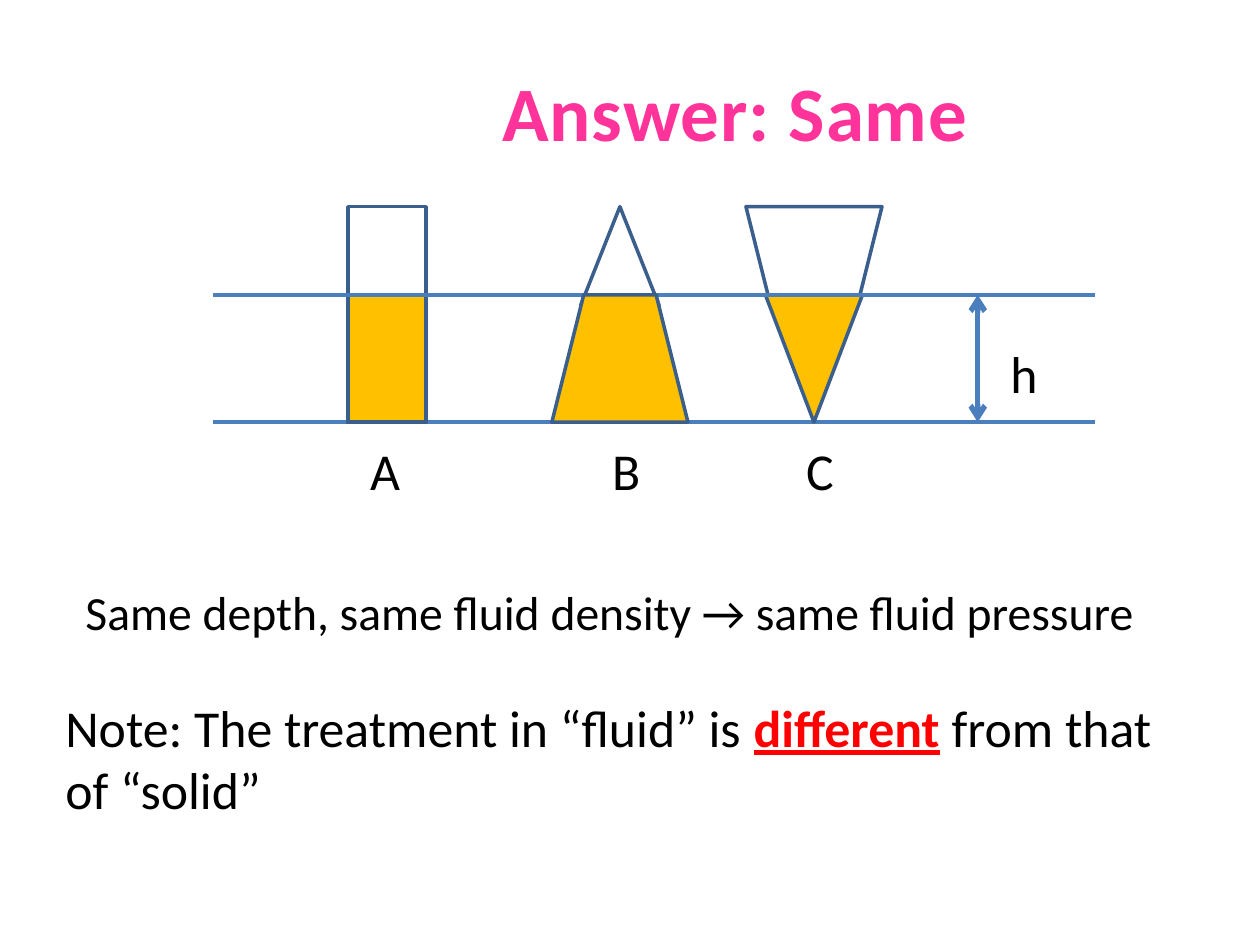
import lxml.etree
import pptx
import pptx.dml.color
import pptx.enum.shapes
import pptx.enum.text
import pptx.oxml.ns
import pptx.util

SHAPES = pptx.enum.shapes.MSO_SHAPE
COLORS = {"title": "FF3399", "text": "000000", "stress": "FF0000", "empty": "FFFFFF",
          "fluid": "FFC000", "outline": "3A5F8C", "level": "4B7EBC"}
TOP, SURFACE, BOTTOM = 1.64, 2.34, 3.35
LEFT, RIGHT = 1.69, 8.69
DEPTH = BOTTOM - SURFACE
LABEL_SIZE = 29.6


def color(name):
    """Return the named colour."""
    return pptx.dml.color.RGBColor.from_string(COLORS[name])


def inches(*lengths):
    """Convert lengths to slide units."""
    return [pptx.util.Inches(length) for length in lengths]


def add_run(paragraph, text, size, color_name="text", **formats):
    """Add a formatted run to a paragraph."""
    run = paragraph.add_run()
    run.text = text
    formats = {"name": "Calibri", "size": pptx.util.Pt(size), **formats}
    for attribute, value in formats.items():
        setattr(run.font, attribute, value)
    run.font.color.rgb = color(color_name)
    return run


def add_title(slide, text):
    """Place and fill the title placeholder."""
    title = slide.shapes.title
    title.left, title.top, title.width, title.height = inches(2.25, 0.25, 7.17, 1.25)
    title.text_frame.vertical_anchor = pptx.enum.text.MSO_ANCHOR.MIDDLE
    paragraph = title.text_frame.paragraphs[0]
    paragraph.alignment = pptx.enum.text.PP_ALIGN.CENTER
    run = add_run(paragraph, text, 44, "title", bold=True)
    run.font._element.set("spc", "50")


def add_text(slide, box, size, *runs):
    """Add a wrapping text box made of (text, formats) runs."""
    frame = slide.shapes.add_textbox(*inches(*box)).text_frame
    frame.word_wrap = True
    for text, formats in runs:
        add_run(frame.paragraphs[0], text, size, **formats)


def add_vessel_part(slide, kind, center, top, width, height, fill, rotation=0):
    """Add an outlined part of a vessel centred on a column."""
    box = inches(center - width / 2, top, width, height)
    shape = slide.shapes.add_shape(kind, *box)
    shape.rotation = rotation
    shape.shadow.inherit = False
    shape.fill.solid()
    shape.fill.fore_color.rgb = color(fill)
    shape.line.color.rgb = color("outline")
    shape.line.width = pptx.util.Pt(2)


def add_line(slide, start, end, width, arrows=False):
    """Add a straight line, with arrowheads at both ends if wanted."""
    connector = slide.shapes.add_connector(
        pptx.enum.shapes.MSO_CONNECTOR.STRAIGHT, *inches(*start, *end))
    connector.line.color.rgb = color("level")
    connector.line.width = pptx.util.Pt(width)
    if arrows:
        for end_name in ("a:headEnd", "a:tailEnd"):
            lxml.etree.SubElement(connector.line._ln, pptx.oxml.ns.qn(end_name), type="arrow")
    lxml.etree.SubElement(connector._element.spPr, pptx.oxml.ns.qn("a:effectLst"))


def add_vessels(slide):
    """Draw the three vessels between the surface and bottom levels."""
    column_a, column_b, column_c = 3.07, 4.92, 6.46
    add_line(slide, (LEFT, BOTTOM), (RIGHT, BOTTOM), 2.25)
    add_vessel_part(slide, SHAPES.RECTANGLE, column_a, TOP, 0.62, BOTTOM - TOP, "empty")
    add_vessel_part(slide, SHAPES.RECTANGLE, column_a, SURFACE, 0.62, DEPTH, "fluid")
    add_vessel_part(slide, SHAPES.ISOSCELES_TRIANGLE, column_b, TOP, 0.62, 0.78, "empty")
    add_vessel_part(slide, SHAPES.ISOSCELES_TRIANGLE, column_c, SURFACE, 0.77, DEPTH, "fluid", 180)
    add_vessel_part(slide, SHAPES.TRAPEZOID, column_c, TOP, 1.08, SURFACE - TOP, "empty", 180)
    add_line(slide, (LEFT, SURFACE), (RIGHT, SURFACE), 2.25)
    add_vessel_part(slide, SHAPES.TRAPEZOID, column_b, SURFACE, 1.08, DEPTH, "fluid")
    add_line(slide, (7.76, SURFACE), (7.76, BOTTOM), 3, arrows=True)
    labels = [("h", 7.92, 2.66), ("A", 2.84, 3.43), ("B", 4.76, 3.43), ("C", 6.3, 3.43)]
    for text, left, top in labels:
        add_text(slide, (left, top, 0.46, 0.54), LABEL_SIZE, (text, {}))


def main():
    """Build and save the slide."""
    presentation = pptx.Presentation()
    presentation.slide_width, presentation.slide_height = inches(10, 7.5)
    slide = presentation.slides.add_slide(presentation.slide_layouts[5])
    add_title(slide, "Answer: Same")
    add_text(slide, (0.58, 4.58, 9.25, 0.62), 27.2,
             ("Same depth, same fluid density → same fluid pressure", {}))
    stress = {"color_name": "stress", "bold": True, "underline": True}
    add_text(slide, (0.42, 5.47, 9.2, 0.95), LABEL_SIZE,
             ("Note: The treatment in “fluid” is ", {}),
             ("different", stress),
             (" from that of “solid”", {}))
    add_vessels(slide)
    presentation.save("out.pptx")


if __name__ == "__main__":
    main()
